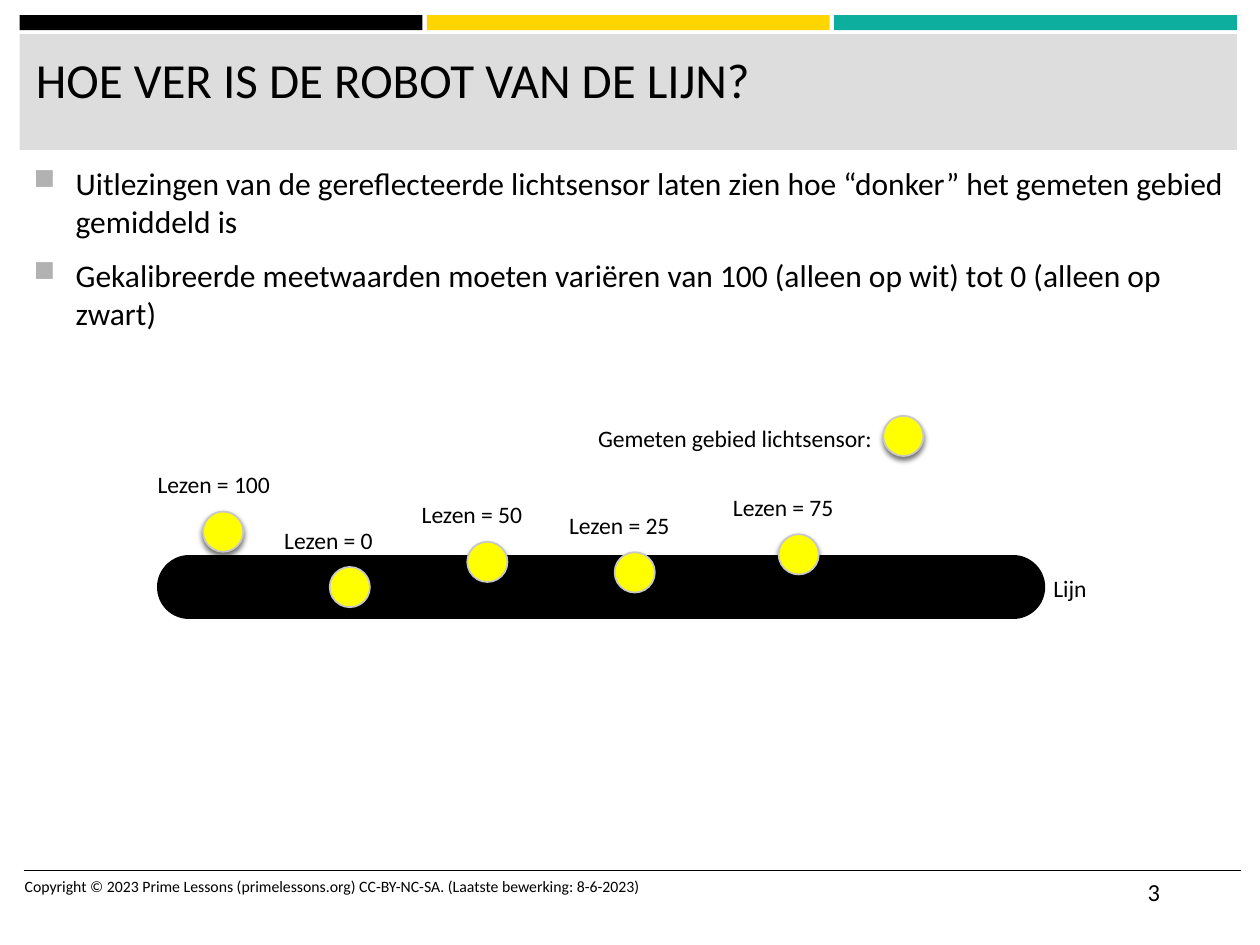
from lxml.etree import SubElement
from pptx import Presentation
from pptx.dml.color import RGBColor
from pptx.enum.shapes import MSO_CONNECTOR, MSO_SHAPE
from pptx.enum.text import MSO_ANCHOR, MSO_AUTO_SIZE
from pptx.oxml.ns import qn
from pptx.util import Pt

COLORS = {
    "black": "000000",
    "yellow": "FFD500",
    "teal": "0EAE9F",
    "banner": "DDDDDD",
    "bullet": "B2B2B2",
    "sensor": "FFFF00",
    "sensor_edge": "C7C7C7",
}
FORMATS = {
    "title": {"size": Pt(28), "name": "Calibri"},
    "body": {"size": Pt(18), "name": "Calibri"},
    "label": {"size": Pt(13.5), "name": "Calibri"},
    "copyright": {"size": Pt(9), "name": "Calibri"},
    "number": {"size": Pt(14), "name": "Calibri"},
}
SENSOR_SIZE = 23
LABEL_HEIGHT = 23.76


def color(name):
    return RGBColor.from_string(COLORS[name])


def format_font(font, format_name):
    for attribute, value in FORMATS[format_name].items():
        setattr(font, attribute, value)
    font.color.rgb = color("black")


def add_element(parent, tag, **attributes):
    return SubElement(parent, qn(tag), attributes)


def add_block(slide, kind, box, fill):
    shape = slide.shapes.add_shape(kind, *map(Pt, box))
    shape.shadow.inherit = False
    shape.fill.solid()
    shape.fill.fore_color.rgb = color(fill)
    shape.line.fill.background()
    return shape


def add_line(slide, left, right, y, width):
    line = slide.shapes.add_connector(
        MSO_CONNECTOR.STRAIGHT, Pt(left), Pt(y), Pt(right), Pt(y))
    line.line.color.rgb = color("black")
    line.line.width = Pt(width)
    add_element(line._element.spPr, "a:effectLst")
    return line


def add_text(slide, box, text, format_name):
    shape = slide.shapes.add_textbox(*map(Pt, box))
    frame = shape.text_frame
    frame.word_wrap = True
    frame.vertical_anchor = MSO_ANCHOR.TOP
    paragraph = frame.paragraphs[0]
    paragraph.text = text
    format_font(paragraph.font, format_name)
    return frame


def add_label(slide, box, text):
    frame = add_text(slide, box, text, "label")
    frame.word_wrap = False
    frame.auto_size = MSO_AUTO_SIZE.SHAPE_TO_FIT_TEXT


def add_sensor(slide, left, top):
    sensor = add_block(
        slide, MSO_SHAPE.OVAL, (left, top, SENSOR_SIZE, SENSOR_SIZE), "sensor")
    sensor.line.color.rgb = color("sensor_edge")
    sensor.line.width = Pt(1)
    effects = sensor._element.spPr.find(qn("a:effectLst"))
    shadow = add_element(
        effects, "a:outerShdw", blurRad=str(Pt(3)), dist=str(Pt(2)),
        dir="5400000", rotWithShape="0")
    shade = add_element(shadow, "a:srgbClr", val=COLORS["black"])
    add_element(shade, "a:alpha", val="55000")


def add_header(slide, box, title):
    left, top, width, height = box
    gap = 2.5
    bar_width = (width - 2 * gap) / 3
    bar_height = 8.5
    for index, fill in enumerate(("black", "yellow", "teal")):
        bar_left = left + index * (bar_width + gap)
        add_block(slide, MSO_SHAPE.RECTANGLE,
                  (bar_left, top, bar_width, bar_height), fill)
    banner_top = top + 10.9
    banner_height = height - 10.9
    add_block(slide, MSO_SHAPE.RECTANGLE,
              (left, banner_top, width, banner_height), "banner")
    frame = add_text(slide, (left + 2.2, banner_top + 3.6, 689, 59), title, "title")
    frame.margin_top = Pt(5)


def add_bullets(slide, box, items):
    frame = add_text(slide, box, "", "body")
    for index, item in enumerate(items):
        paragraph = frame.add_paragraph() if index else frame.paragraphs[0]
        paragraph.text = item
        properties = paragraph._p.get_or_add_pPr()
        for element in list(properties):
            properties.remove(element)
        properties.set("marL", str(Pt(24)))
        properties.set("indent", str(Pt(-24)))
        bullet_color = add_element(properties, "a:buClr")
        add_element(bullet_color, "a:srgbClr", val=COLORS["bullet"])
        add_element(properties, "a:buSzPct", val="92000")
        add_element(properties, "a:buChar", char="■")
        paragraph.space_before = Pt(3.6 if index else 0)
        paragraph.space_after = Pt(6)
        format_font(paragraph.font, "body")


def add_diagram(slide, box):
    left, top, width, height = box
    line_y = top + height - 18.4
    line = add_line(slide, left + 18.4, left + width - 18.4, line_y, 36.75)
    line.line._get_or_add_ln().set("cap", "rnd")
    add_sensor(slide, left + 415, top)
    add_label(slide, (left + 245, top + 1.4, 173.5, LABEL_HEIGHT),
              "Gemeten gebied lichtsensor:")
    add_label(slide, (left + width - 2.5, line_y - 11, 37.4, LABEL_HEIGHT), "Lijn")
    readings = (
        (100, 26.3, 54.7, 93),
        (0, 98.7, 86.4, 79),
        (50, 177.3, 72, 86),
        (25, 261.5, 78, 86),
        (75, 355.2, 67.7, 86),
    )
    for value, x, y, label_width in readings:
        add_sensor(slide, left + x, top + y)
        add_label(slide, (left + x - 33.1, top + y - 27.2, label_width, LABEL_HEIGHT),
                  f"Lezen = {value}")


def add_footer(slide, box, copyright_line, number):
    left, top, width, height = box
    add_line(slide, left, left + width, top, 1)
    add_text(slide, (left - 6.5, top, 384, height), copyright_line, "copyright")
    add_text(slide, (left + width - 60.5, top, 60.5, height), number, "number")


def main():
    presentation = Presentation()
    presentation.slide_width = Pt(720)
    presentation.slide_height = Pt(540)
    slide = presentation.slides.add_slide(presentation.slide_layouts[6])
    add_header(slide, (11.3, 8.7, 695.5, 77), "HOE VER IS DE ROBOT VAN DE LIJN?")
    add_bullets(slide, (12.2, 90, 695.5, 400), (
        "Uitlezingen van de gereflecteerde lichtsensor laten zien hoe “donker” "
        "het gemeten gebied gemiddeld is",
        "Gekalibreerde meetwaarden moeten variëren van 100 (alleen op wit) "
        "tot 0 (alleen op zwart)",
    ))
    add_diagram(slide, (89.7, 237.6, 507.6, 116.4))
    add_footer(
        slide, (13.5, 497.5, 695.8, 28.8),
        "Copyright © 2023 Prime Lessons (primelessons.org) CC-BY-NC-SA. "
        "(Laatste bewerking: 8-6-2023)", "3")
    presentation.save("out.pptx")


if __name__ == "__main__":
    main()
